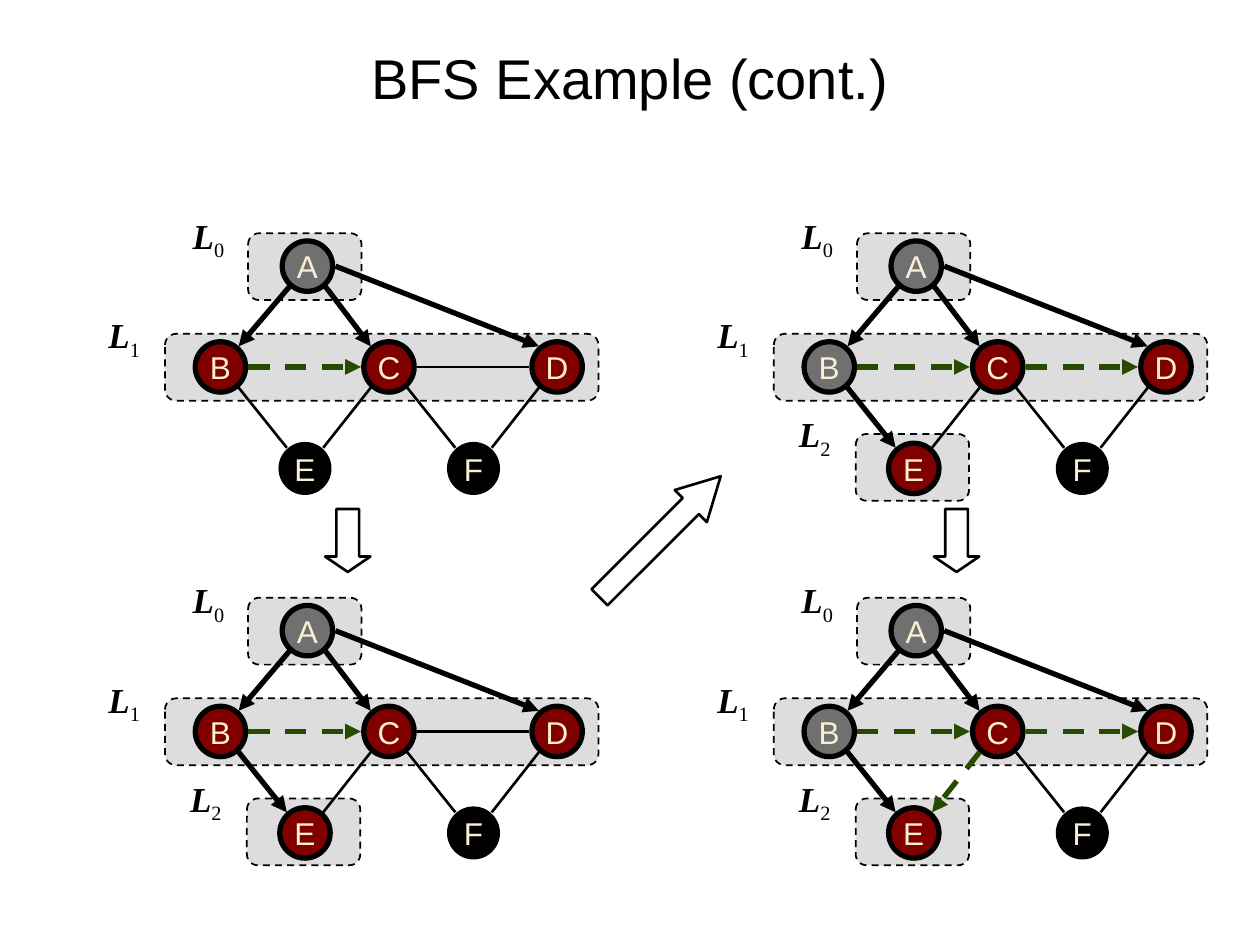
from pptx import Presentation
from pptx.dml.color import RGBColor
from pptx.enum.dml import MSO_LINE
from pptx.enum.shapes import MSO_CONNECTOR, MSO_SHAPE
from pptx.enum.text import MSO_ANCHOR, MSO_AUTO_SIZE, PP_ALIGN
from pptx.oxml.ns import qn
from pptx.util import Pt
from lxml import etree

BLACK = RGBColor(0x00, 0x00, 0x00)
BAND_GRAY = RGBColor(0xDD, 0xDD, 0xDD)
VISITED_GRAY = RGBColor(0x70, 0x70, 0x70)
QUEUED_RED = RGBColor(0x80, 0x00, 0x00)
CREAM = RGBColor(0xFB, 0xEF, 0xD2)
CROSS_GREEN = RGBColor(0x25, 0x4C, 0x00)

DASH = MSO_LINE.DASH
STRAIGHT = MSO_CONNECTOR.STRAIGHT
ELLIPSE = MSO_SHAPE.OVAL
ROUNDED = MSO_SHAPE.ROUNDED_RECTANGLE
RIGHT_ARROW = MSO_SHAPE.RIGHT_ARROW
MIDDLE = MSO_ANCHOR.MIDDLE
CENTER = PP_ALIGN.CENTER
GROW = MSO_AUTO_SIZE.SHAPE_TO_FIT_TEXT

# Geometry of the top left panel; the others are shifted copies
PANEL_STEP_X, PANEL_STEP_Y = 347.9, 208.3
NODE_SIZE = 28.8
NODES = {"C": (222.3, 209.7), "B": (126, 209.7), "A": (175.7, 152.1),
         "E": (174.3, 267.7), "D": (318.4, 209.7), "F": (270.6, 267.7)}
# Where edges meet a node, measured from its centre
SITES = {"e": (16, 0), "w": (-16, 0), "nw": (-10.4, -11.8),
         "ne": (10.4, -11.8), "sw": (-10.4, 11.8), "se": (10.4, 11.8)}
EDGES = {"AB": ("sw", "ne"), "BE": ("se", "nw"), "CE": ("sw", "ne"),
         "AC": ("se", "nw"), "BC": ("e", "w"), "DF": ("sw", "ne"),
         "AD": ("e", "nw"), "CD": ("e", "w"), "CF": ("se", "nw")}
BAND_HEIGHT = 38.2
# Per level: band left, top, width, then label left, top
LEVELS = [(141.8, 133.3, 64.8, 103, 118.8),
          (94.3, 190.8, 247.7, 54.9, 175.7),
          (141.1, 248, 64.8, 101.5, 232.2)]

# Per panel: column, row, level count, visited, queued, tree and cross edges
PANELS = [
    (0, 0, 2, "A", "BCD", ("AB", "AC", "AD"), ("BC",)),
    (0, 1, 3, "A", "BCDE", ("AB", "AC", "AD", "BE"), ("BC",)),
    (1, 0, 3, "AB", "CDE", ("AB", "AC", "AD", "BE"), ("BC", "CD")),
    (1, 1, 3, "AB", "CDE", ("AB", "AC", "AD", "BE"), ("BC", "CD", "CE")),
]


class SlideBuilder:
    node_font, label_font = "Arial", "Times New Roman"
    title_size, node_text_size, label_size = 32, 18, 20
    thick, thin, band_line = 3, 1.5, 1

    def __init__(self, slide):
        self.slide = slide
        self.shapes = slide.shapes
        self.offset = (0, 0)

    def start_panel(self, column, row):
        self.shapes = self.slide.shapes.add_group_shape().shapes
        self.offset = (column * PANEL_STEP_X, row * PANEL_STEP_Y)

    def place(self, x, y):
        return Pt(x + self.offset[0]), Pt(y + self.offset[1])

    def title(self, text):
        shape = self.slide.shapes.title
        shape.left, shape.top = Pt(36), Pt(21.6)
        shape.width, shape.height = Pt(648), Pt(44.6)
        frame = shape.text_frame
        frame.text = text
        frame.vertical_anchor = MIDDLE
        frame.paragraphs[0].alignment = CENTER
        self.style_run(frame.paragraphs[0].runs[0], self.node_font,
                       self.title_size, BLACK)

    def style_run(self, run, name, size, color):
        run.font.name = name
        run.font.size = Pt(size)
        run.font.color.rgb = color

    def outlined(self, kind, x, y, width, height, line_width, fill=None):
        shape = self.shapes.add_shape(kind, *self.place(x, y),
                                      Pt(width), Pt(height))
        shape.shadow.inherit = False
        if fill is None:
            shape.fill.background()
        else:
            shape.fill.solid()
            shape.fill.fore_color.rgb = fill
        shape.line.color.rgb = BLACK
        shape.line.width = Pt(line_width)
        return shape

    def band(self, x, y, width):
        shape = self.outlined(ROUNDED, x, y, width, BAND_HEIGHT,
                              self.band_line, BAND_GRAY)
        shape.line.dash_style = DASH

    def node(self, name, fill):
        x, y = NODES[name]
        line_width = self.thin if fill == BLACK else self.thick
        shape = self.outlined(ELLIPSE, x - NODE_SIZE / 2, y - NODE_SIZE / 2,
                              NODE_SIZE, NODE_SIZE, line_width, fill)
        frame = shape.text_frame
        frame.text = name
        frame.word_wrap = False
        frame.vertical_anchor = MIDDLE
        frame.paragraphs[0].alignment = CENTER
        self.style_run(frame.paragraphs[0].runs[0], self.node_font,
                       self.node_text_size, CREAM)

    def edge(self, name, directed, crossing):
        ends = []
        for node, site in zip(name, EDGES[name]):
            x, y = (a + b for a, b in zip(NODES[node], SITES[site]))
            ends += self.place(x, y)
        connector = self.shapes.add_connector(STRAIGHT, *ends)
        line = connector.line
        line.color.rgb = CROSS_GREEN if crossing else BLACK
        line.width = Pt(self.thick if directed else self.thin)
        if crossing:
            line.dash_style = DASH
        properties = connector._element.spPr
        if directed:
            etree.SubElement(properties.find(qn("a:ln")), qn("a:tailEnd"),
                             type="triangle")
        etree.SubElement(properties, qn("a:effectLst"))

    def label(self, level, x, y):
        box = self.shapes.add_textbox(*self.place(x, y), Pt(36.7), Pt(31))
        frame = box.text_frame
        frame.word_wrap = True
        frame.auto_size = GROW
        paragraph = frame.paragraphs[0]
        for text in ("L", str(level)):
            run = paragraph.add_run()
            run.text = text
            self.style_run(run, self.label_font, self.label_size, BLACK)
            run.font.bold = run.font.italic = text == "L"
        run.font._element.set("baseline", "-25000")

    def block_arrow(self, x, y, width, rotation, head):
        shape = self.outlined(RIGHT_ARROW, x, y, width, 25.9, self.thin)
        shape.adjustments[0], shape.adjustments[1] = 0.5, head
        shape.rotation = rotation


def main():
    presentation = Presentation()
    presentation.slide_width, presentation.slide_height = Pt(720), Pt(540)
    slide = presentation.slides.add_slide(presentation.slide_layouts[5])
    builder = SlideBuilder(slide)
    builder.title("BFS Example (cont.)")

    # Block arrows between the steps
    for x in (180.7, 180.7 + PANEL_STEP_X):
        builder.block_arrow(x, 295.9, 36, 90, 0.34)
    builder.block_arrow(328.3, 293.8, 97.9, 315, 0.93)

    # One graph per search step
    for column, row, depth, visited, queued, tree, cross in PANELS:
        builder.start_panel(column, row)
        for x, y, width, _, _ in reversed(LEVELS[:depth]):
            builder.band(x, y, width)
        for name in NODES:
            fill = (VISITED_GRAY if name in visited
                    else QUEUED_RED if name in queued else BLACK)
            builder.node(name, fill)
        for name in EDGES:
            builder.edge(name, name in tree + cross, name in cross)
        for level, (_, _, _, x, y) in enumerate(LEVELS[:depth]):
            builder.label(level, x, y)

    presentation.save("out.pptx")


if __name__ == "__main__":
    main()
